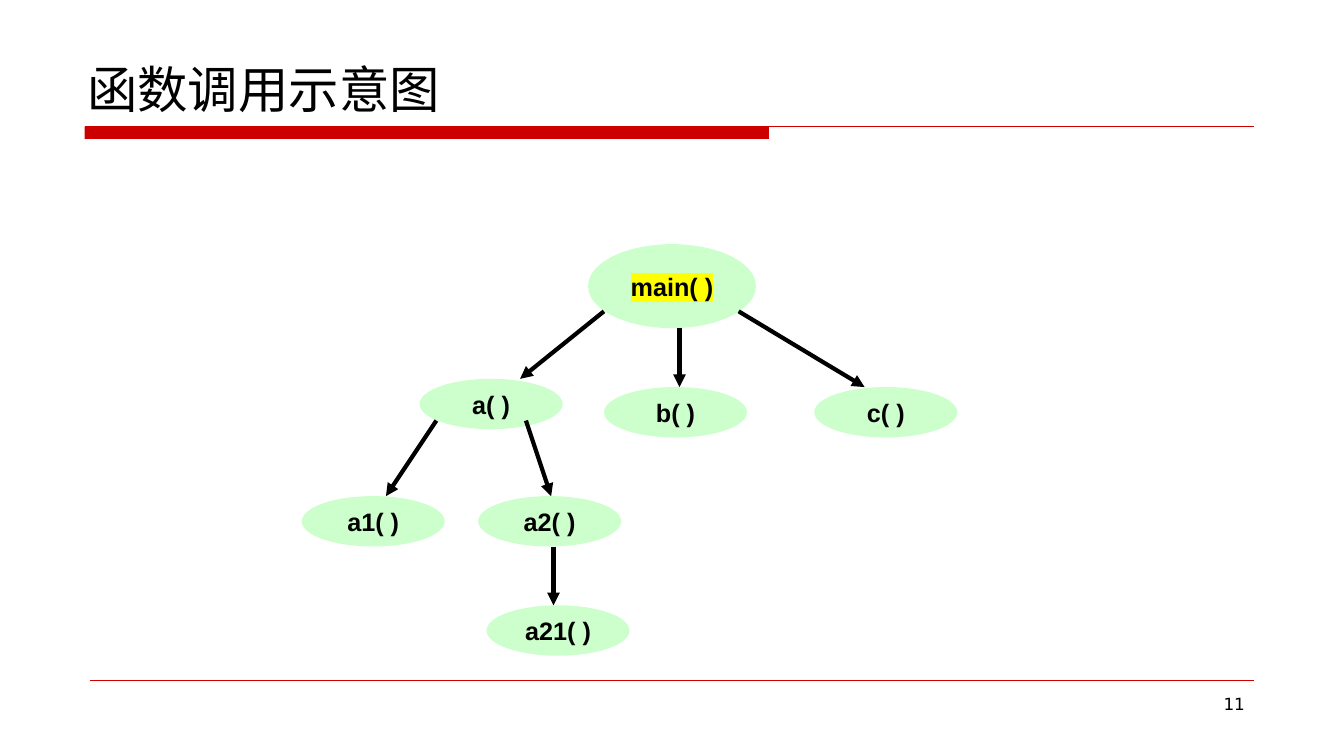
from lxml.etree import SubElement
from pptx import Presentation
from pptx.dml.color import RGBColor
from pptx.enum.shapes import MSO_CONNECTOR, MSO_SHAPE
from pptx.enum.text import MSO_ANCHOR, MSO_AUTO_SIZE, PP_ALIGN
from pptx.oxml import parse_xml
from pptx.oxml.ns import nsdecls, qn
from pptx.util import Pt

RED = RGBColor(0xCC, 0x00, 0x00)
GREEN = RGBColor(0xCC, 0xFF, 0xCC)
BLACK = RGBColor(0x00, 0x00, 0x00)

CALL_WIDTH, CALL_HEIGHT = 102.2, 36
FUNCTIONS = [  # text, left, top, width, height
    ("main( )", 420, 174.4, 120, 60),
    ("a( )", 299.7, 270.6, CALL_WIDTH, CALL_HEIGHT),
    ("b( )", 431.4, 276.5, CALL_WIDTH, CALL_HEIGHT),
    ("c( )", 581.6, 276.5, CALL_WIDTH, CALL_HEIGHT),
    ("a1( )", 215.5, 354.4, CALL_WIDTH, CALL_HEIGHT),
    ("a2( )", 341.5, 354.4, CALL_WIDTH, CALL_HEIGHT),
    ("a21( )", 347.5, 432.4, CALL_WIDTH, CALL_HEIGHT),
]
CALLS = [  # start x, start y, end x, end y
    (431.4, 222.4, 371.5, 270.6),
    (485.4, 234.4, 485.4, 276.5),
    (527.6, 222.4, 617.6, 276.5),
    (311.7, 300.4, 275.7, 354.4),
    (375.7, 300.4, 393.7, 354.4),
    (395.4, 390.4, 395.4, 432.4),
]


def add_run(paragraph, text, size, font, bold=False):
    run = paragraph.add_run()
    run.text = text
    run.font.size = Pt(size)
    run.font.name = font
    run.font.bold = bold
    run.font.color.rgb = BLACK
    return run


def add_line(x1, y1, x2, y2, color, width):
    line = slide.shapes.add_connector(
        MSO_CONNECTOR.STRAIGHT, Pt(x1), Pt(y1), Pt(x2), Pt(y2))
    line.line.color.rgb = color
    line.line.width = Pt(width)
    SubElement(line._element.spPr, qn("a:effectLst"))
    return line


prs = Presentation()
prs.slide_width, prs.slide_height = Pt(960), Pt(540)
slide = prs.slides.add_slide(prs.slide_layouts[5])

# Title, rules and page number
title = slide.shapes.title
title.left, title.top, title.width, title.height = Pt(55), Pt(34), Pt(552), Pt(54)
title.text_frame.auto_size = MSO_AUTO_SIZE.NONE
title.text_frame.vertical_anchor = MSO_ANCHOR.BOTTOM
heading = title.text_frame.paragraphs[0]
heading.alignment = PP_ALIGN.LEFT
add_run(heading, "函数调用示意图", 36, "DejaVu Sans")

title_bar = slide.shapes.add_shape(
    MSO_SHAPE.RECTANGLE, Pt(60.5), Pt(90.5), Pt(488.8), Pt(8.8))
title_bar.shadow.inherit = False
title_bar.fill.solid()
title_bar.fill.fore_color.rgb = RED
title_bar.line.fill.background()
add_line(60.5, 90.5, 895.7, 90.5, RED, 0.75)
add_line(64, 486, 895.7, 486, RED, 0.25)

page_number = slide.shapes.add_textbox(Pt(688.3), Pt(491.8), Pt(208), Pt(37.4))
page_number.text_frame.word_wrap = True
page_line = page_number.text_frame.paragraphs[0]
page_line.alignment = PP_ALIGN.RIGHT
add_run(page_line, "11", 12, "DejaVu Sans")

# Call tree
for name, left, top, width, height in FUNCTIONS:
    function = slide.shapes.add_shape(
        MSO_SHAPE.OVAL, Pt(left), Pt(top), Pt(width), Pt(height))
    function.shadow.inherit = False
    function.fill.solid()
    function.fill.fore_color.rgb = GREEN
    function.line.fill.background()
    function.text_frame.word_wrap = False
    function.text_frame.vertical_anchor = MSO_ANCHOR.MIDDLE
    label = function.text_frame.paragraphs[0]
    label.alignment = PP_ALIGN.CENTER
    run = add_run(label, name, 18, "Arial", bold=True)
    if name == "main( )":
        highlight = parse_xml(
            f'<a:highlight {nsdecls("a")}><a:srgbClr val="FFFF00"/></a:highlight>')
        run.font._element.find(qn("a:solidFill")).addnext(highlight)

for call in CALLS:
    arrow = add_line(*call, BLACK, 3)
    SubElement(arrow.line._get_or_add_ln(), qn("a:tailEnd"), type="triangle")

prs.save("out.pptx")
